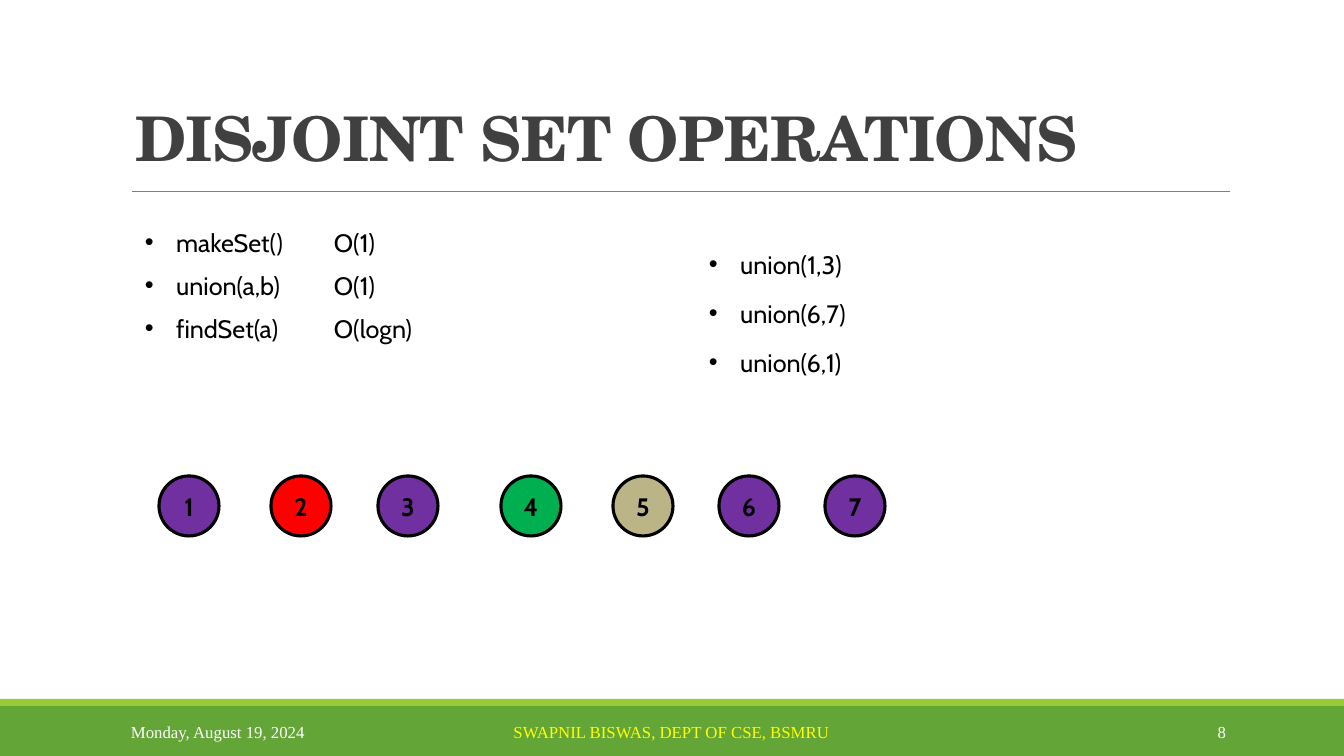
"""Build the slide on disjoint set operations."""
from lxml import etree
from pptx import Presentation
from pptx import util as u
from pptx.dml.color import RGBColor
from pptx.enum import shapes, text
from pptx.oxml.ns import qn

BLACK = RGBColor(0x00, 0x00, 0x00)
WHITE = RGBColor(0xFF, 0xFF, 0xFF)
YELLOW = RGBColor(0xFF, 0xFF, 0x00)
INK = RGBColor(0x40, 0x40, 0x40)
GRAY = RGBColor(0x80, 0x80, 0x80)
GREEN = RGBColor(0x63, 0xA5, 0x37)
LIME = RGBColor(0x99, 0xCB, 0x38)
PURPLE = RGBColor(0x70, 0x30, 0xA0)
RED = RGBColor(0xFF, 0x00, 0x00)
EMERALD = RGBColor(0x00, 0xB0, 0x50)
KHAKI = RGBColor(0xBB, 0xB4, 0x87)

BODY_FONT, TITLE_FONT, FOOTER_FONT = "Cabin", "TeX Gyre Schola", "Times New Roman"
LEFT, CENTER, RIGHT = text.PP_ALIGN.LEFT, text.PP_ALIGN.CENTER, text.PP_ALIGN.RIGHT

TITLE = "DISJOINT SET OPERATIONS"
OPERATIONS = [("makeSet()", "O(1)", 69), ("union(a,b)", "O(1)", 69), ("findSet(a)", "O(logn)", 105)]
UNIONS = ["union(1,3)", "union(6,7)", "union(6,1)"]
NODES = [("1", 159, PURPLE), ("2", 271, RED), ("3", 378, PURPLE), ("4", 501, EMERALD),
         ("5", 613, KHAKI), ("6", 719, PURPLE), ("7", 825, PURPLE)]
FOOTER = [("Monday, August 19, 2024", 121, 272, LEFT, WHITE),
          ("SWAPNIL BISWAS, DEPT OF CSE, BSMRU", 406, 531, CENTER, YELLOW),
          ("8", 1092, 144, RIGHT, WHITE)]
BARS = [(706, 50, GREEN), (699, 7, LIME)]

WIDTH, HEIGHT = 1344, 756
NODE_TOP, NODE_SIZE = 476, 60
ROW_HEIGHT, ITEM_WIDTH = 40, 164
SCALE = 12192000 / WIDTH


def px(*values):
    return [u.Emu(round(v * SCALE)) for v in values]


def style(p, size, font, color, bold=False):
    for r in p.runs:
        r.font.size = u.Pt(size)
        r.font.name = font
        r.font.bold = bold
        r.font.color.rgb = color


def add_filled(slide, kind, box, color):
    sp = slide.shapes.add_shape(kind, *px(*box))
    sp.shadow.inherit = False
    sp.fill.solid()
    sp.fill.fore_color.rgb = color
    sp.line.fill.background()
    return sp


def add_label(slide, words, box, bullet=False):
    tf = slide.shapes.add_textbox(*px(*box)).text_frame
    tf.word_wrap = False
    tf.auto_size = text.MSO_AUTO_SIZE.SHAPE_TO_FIT_TEXT
    p = tf.paragraphs[0]
    p.text = words
    if bullet:
        pPr = p._p.get_or_add_pPr()
        indent = u.Inches(0.31)
        pPr.set("marL", str(indent))
        pPr.set("indent", str(-indent))
        etree.SubElement(pPr, qn("a:buFont")).set("typeface", "Arial")
        etree.SubElement(pPr, qn("a:buChar")).set("char", "•")
    style(p, 18, BODY_FONT, BLACK)


def add_title(slide):
    sp = slide.shapes.title
    sp.left, sp.top, sp.width, sp.height = px(125, 19, 1155, 160)
    tf = sp.text_frame
    tf.text = TITLE
    tf.word_wrap = True
    tf.vertical_anchor = text.MSO_ANCHOR.BOTTOM
    p = tf.paragraphs[0]
    p.alignment = LEFT
    p.line_spacing = 0.85
    style(p, 44, TITLE_FONT, INK, True)
    p.runs[0].font._element.set("spc", "-50")


def add_frame(slide):
    for top, height, color in BARS:
        add_filled(slide, shapes.MSO_SHAPE.RECTANGLE, (0, top, WIDTH, height), color)
    rule = slide.shapes.add_connector(shapes.MSO_CONNECTOR.STRAIGHT, *px(132, 191, 1230, 191))
    rule.line.color.rgb = GRAY
    rule.line.width = u.Pt(0.5)
    etree.SubElement(rule._element.spPr, qn("a:effectLst"))
    for words, left, width, align, color in FOOTER:
        tf = slide.shapes.add_textbox(*px(left, 712, width, 40)).text_frame
        tf.word_wrap = True
        tf.vertical_anchor = text.MSO_ANCHOR.MIDDLE
        p = tf.paragraphs[0]
        p.text = words
        p.alignment = align
        style(p, 12, FOOTER_FONT, color)


def add_node(slide, name, left, color):
    sp = add_filled(slide, shapes.MSO_SHAPE.OVAL, (left, NODE_TOP, NODE_SIZE, NODE_SIZE), color)
    sp.line.color.rgb = BLACK
    sp.line.width = u.Pt(2.25)
    tf = sp.text_frame
    tf.word_wrap = False
    tf.margin_left = tf.margin_right = tf.margin_top = tf.margin_bottom = 0
    tf.vertical_anchor = text.MSO_ANCHOR.MIDDLE
    p = tf.paragraphs[0]
    p.text = name
    p.alignment = CENTER
    style(p, 18, BODY_FONT, BLACK, True)


def main():
    prs = Presentation()
    prs.slide_width, prs.slide_height = px(WIDTH, HEIGHT)
    slide = prs.slides.add_slide(prs.slide_layouts[5])
    add_frame(slide)
    add_title(slide)
    for i, (name, cost, cost_width) in enumerate(OPERATIONS):
        top = 222 + 43 * i
        add_label(slide, name, (135, top, ITEM_WIDTH, ROW_HEIGHT), bullet=True)
        add_label(slide, cost, (324, top, cost_width, ROW_HEIGHT))
    for i, call in enumerate(UNIONS):
        add_label(slide, call, (699, 244 + 49 * i, ITEM_WIDTH, ROW_HEIGHT), bullet=True)
    for node in NODES:
        add_node(slide, *node)
    prs.save("out.pptx")


if __name__ == "__main__":
    main()
